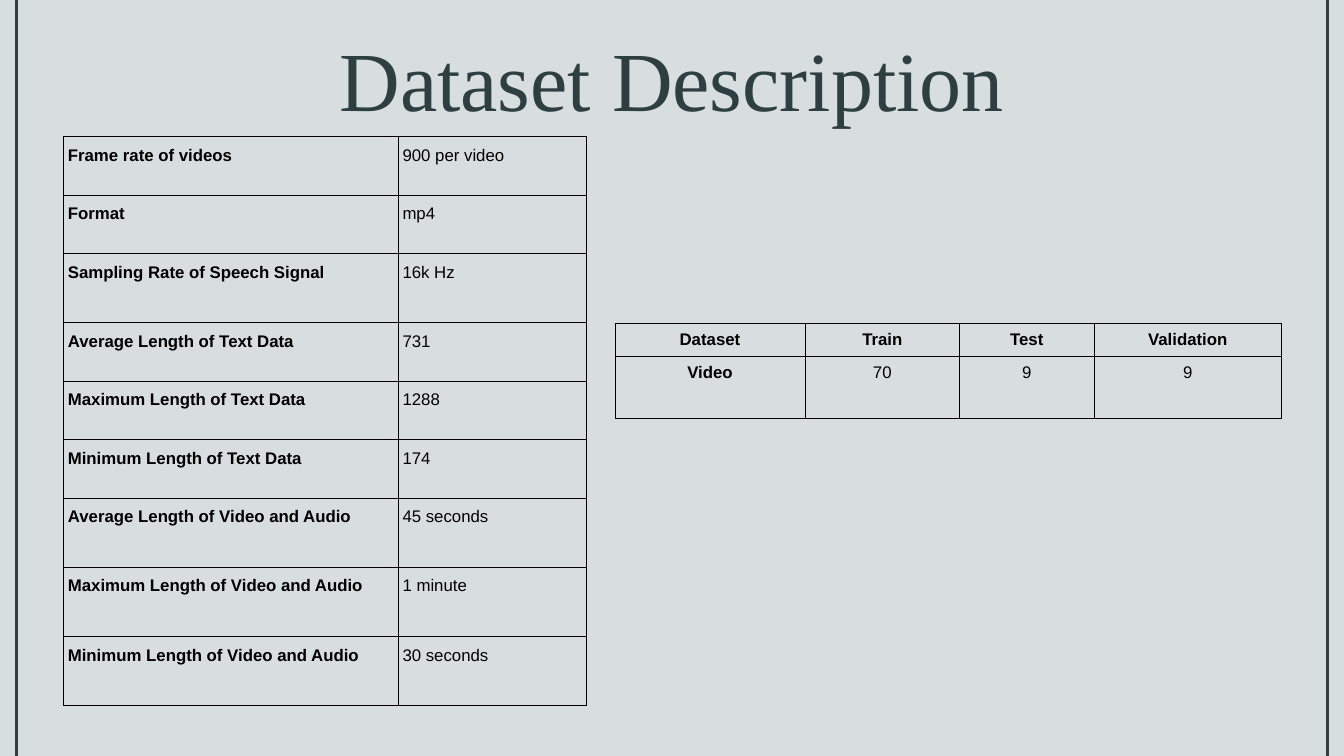
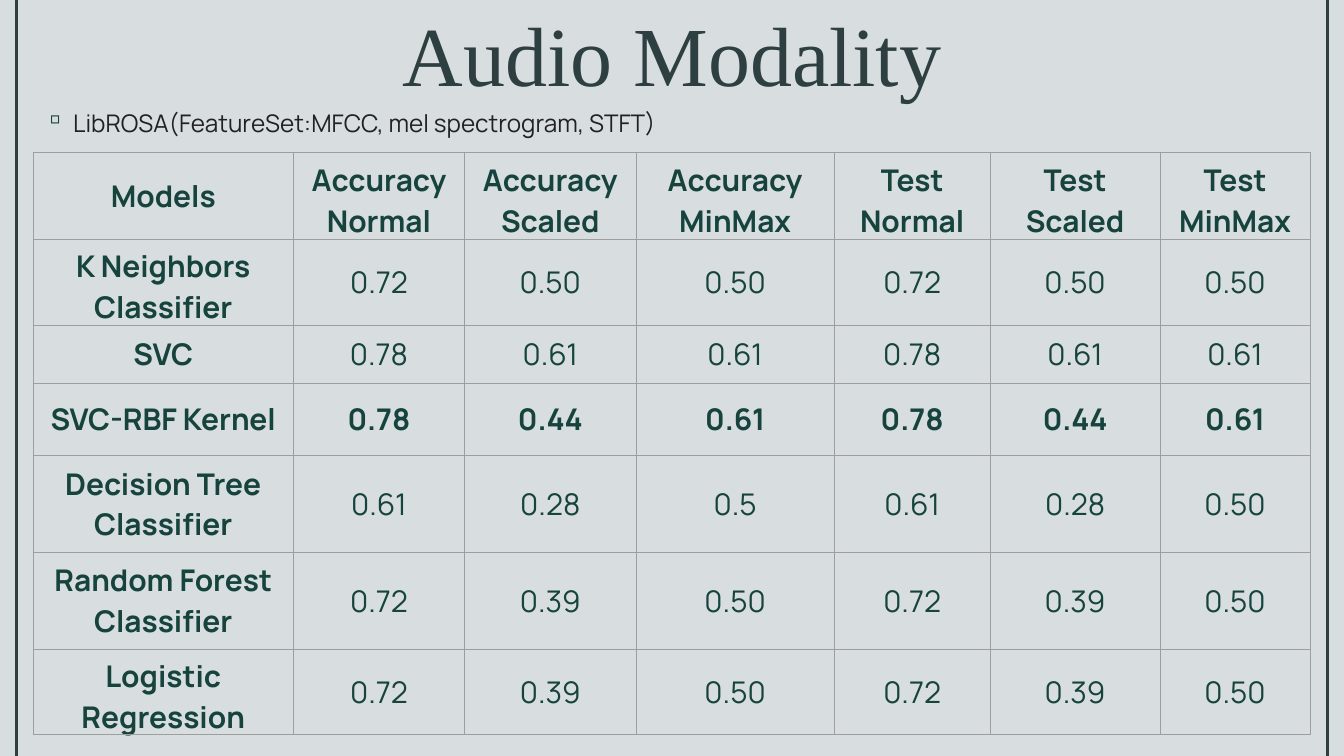
from lxml.etree import SubElement
from pptx import Presentation
from pptx.dml.color import RGBColor
from pptx.enum.shapes import MSO_CONNECTOR as Connector
from pptx.enum.text import MSO_ANCHOR as Anchor, MSO_AUTO_SIZE as AutoSize, PP_ALIGN as Align
from pptx.oxml import parse_xml
from pptx.oxml.ns import nsdecls, qn
from pptx.util import Inches, Pt

# The slide is a grid of one-inch columns and rows.
COLUMNS, ROWS = 20, 11.25
RAIL_INSET = 0.24
COLORS = {
    "background": "D8DEDF",
    "slate": "2E3F42",
    "green": "16433D",
    "black": "000000",
    "body": "212121",
    "rule": "9E9E9E",
}

DATASET_FACTS = [
    ("Frame rate of videos", "900 per video"),
    ("Format", "mp4"),
    ("Sampling Rate of Speech Signal", "16k Hz"),
    ("Average Length of Text Data", "731"),
    ("Maximum Length of Text Data", "1288"),
    ("Minimum Length of Text Data", "174"),
    ("Average Length of Video and Audio", "45 seconds"),
    ("Maximum Length of Video and Audio", "1 minute"),
    ("Minimum Length of Video and Audio", "30 seconds"),
]
SHORT, TALL = 0.87, 1.03
FACT_HEIGHTS = [SHORT, SHORT, TALL] + [SHORT] * 3 + [TALL] * 3

SPLITS = [
    ("Dataset", "Train", "Test", "Validation"),
    ("Video", "70", "9", "9"),
]

BEST_MODEL = "SVC-RBF Kernel"
MODEL_SCORES = [
    ("Models", "Accuracy Normal", "Accuracy Scaled", "Accuracy MinMax",
     "Test Normal", "Test Scaled", "Test MinMax"),
    ("K Neighbors Classifier", "0.72", "0.50", "0.50", "0.72", "0.50", "0.50"),
    ("SVC", "0.78", "0.61", "0.61", "0.78", "0.61", "0.61"),
    (BEST_MODEL, "0.78", "0.44", "0.61", "0.78", "0.44", "0.61"),
    ("Decision Tree Classifier", "0.61", "0.28", "0.5", "0.61", "0.28", "0.50"),
    ("Random Forest Classifier", "0.72", "0.39", "0.50", "0.72", "0.39", "0.50"),
    ("Logistic Regression", "0.72", "0.39", "0.50", "0.72", "0.39", "0.50"),
]


def color(name):
    return RGBColor.from_string(COLORS[name])


def write(frame, text, *, size, font, ink, bold=False, align=Align.LEFT,
          spacing=None, before=None, after=None):
    """Put one formatted paragraph in a text frame and return it."""
    para = frame.paragraphs[0]
    para.alignment = align
    if spacing:
        para.line_spacing = spacing
    if before:
        para.space_before = Pt(before)
    if after:
        para.space_after = Pt(after)
    span = para.add_run()
    span.text = text
    span.font.size = Pt(size)
    span.font.name = font
    span.font.bold = bold
    span.font.color.rgb = color(ink)
    return para


def add_text(page, left, top, width, height, text, *, inset=0, grow=False, **style):
    box = page.shapes.add_textbox(*map(Inches, (left, top, width, height)))
    frame = box.text_frame
    frame.word_wrap = True
    frame.auto_size = AutoSize.SHAPE_TO_FIT_TEXT if grow else AutoSize.NONE
    frame.margin_left = frame.margin_right = Inches(inset)
    frame.margin_top = frame.margin_bottom = Inches(inset)
    return write(frame, text, **style)


def add_bullet(para, mark, ink, indent, hang):
    props = para._p.get_or_add_pPr()
    props.set("marL", str(Inches(indent)))
    props.set("indent", str(-Inches(hang)))
    tint = SubElement(props, qn("a:buClr"))
    SubElement(tint, qn("a:srgbClr")).set("val", COLORS[ink])
    SubElement(props, qn("a:buChar")).set("char", mark)


def add_rail(page, x):
    rail = page.shapes.add_connector(
        Connector.STRAIGHT, Inches(x), Inches(ROWS), Inches(x), 0)
    rail.line.color.rgb = color("slate")
    rail.line.width = Pt(3)
    SubElement(rail._element.spPr, qn("a:effectLst"))


def add_page(deck, title, title_top):
    page = deck.slides.add_slide(deck.slide_layouts[6])
    page.background.fill.solid()
    page.background.fill.fore_color.rgb = color("background")
    add_text(page, 0, title_top, COLUMNS, 1.52, title, grow=True, size=90,
             font="Times New Roman", ink="slate", align=Align.CENTER, spacing=1.03)
    for x in (RAIL_INSET, COLUMNS - RAIL_INSET):
        add_rail(page, x)
    return page


def set_borders(cell, ink, points):
    props = cell._tc.get_or_add_tcPr()
    for position, side in enumerate(("lnL", "lnR", "lnT", "lnB")):
        props.insert(position, parse_xml(
            f'<a:{side} {nsdecls("a")} w="{Pt(points)}"><a:solidFill>'
            f'<a:srgbClr val="{COLORS[ink]}"/></a:solidFill></a:{side}>'))


def add_grid(page, left, top, widths, heights, rows, *, is_bold, border,
             inset, anchor=Anchor.TOP, **style):
    """Add an unfilled, ruled table; is_bold(row, column) picks the bold cells."""
    table = page.shapes.add_table(
        len(rows), len(widths), Inches(left), Inches(top),
        Inches(sum(widths)), Inches(sum(heights))).table
    table.first_row = table.horz_banding = False
    for column, width in zip(table.columns, widths):
        column.width = Inches(width)
    for line, height in zip(table.rows, heights):
        line.height = Inches(height)
    across, down = map(Inches, inset)
    for r, values in enumerate(rows):
        for c, value in enumerate(values):
            cell = table.cell(r, c)
            cell.margin_left = cell.margin_right = across
            cell.margin_top = cell.margin_bottom = down
            cell.vertical_anchor = anchor
            cell.fill.background()
            set_borders(cell, *border)
            write(cell.text_frame, value, bold=is_bold(r, c), **style)


def add_dataset_page(deck):
    page = add_page(deck, "Dataset Description", 0.37)
    shared = dict(border=("black", 0.6), size=18, font="Arial", ink="black",
                  spacing=1.15, before=12)
    add_grid(page, 0.94, 2.03, [4.98, 2.8], FACT_HEIGHTS, DATASET_FACTS,
             is_bold=lambda r, c: c == 0, inset=(0.07, 0.1),
             align=Align.JUSTIFY, **shared)
    add_grid(page, 9.15, 4.81, [2.83, 2.3, 2, 2.79], [0.48, 0.93], SPLITS,
             is_bold=lambda r, c: r == 0 or c == 0, inset=(0.07, 0.07),
             align=Align.CENTER, after=12, **shared)


def add_audio_page(deck):
    page = add_page(deck, "Audio Modality", -0.01)
    features = add_text(page, 0.49, 1.51, 17.62, 0.75,
                        "LibROSA(FeatureSet:MFCC, mel spectrogram, STFT)",
                        inset=0.1, size=26, font="Manrope", ink="body")
    add_bullet(features, "▫", "green", 0.5, 0.43)
    add_grid(page, 0.49, 2.27, [3.88, 2.54, 2.56, 2.94, 2.33, 2.52, 2.24],
             [1.29, 1.28, 0.86, 1.08, 1.44, 1.44, 1.25], MODEL_SCORES,
             is_bold=lambda r, c: r == 0 or c == 0 or MODEL_SCORES[r][0] == BEST_MODEL,
             border=("rule", 0.75), inset=(0.1, 0.1), anchor=Anchor.MIDDLE,
             size=32, font="Manrope", ink="green", align=Align.CENTER)


def main():
    deck = Presentation()
    deck.slide_width, deck.slide_height = Inches(COLUMNS), Inches(ROWS)
    add_dataset_page(deck)
    add_audio_page(deck)
    deck.save("out.pptx")


if __name__ == "__main__":
    main()
